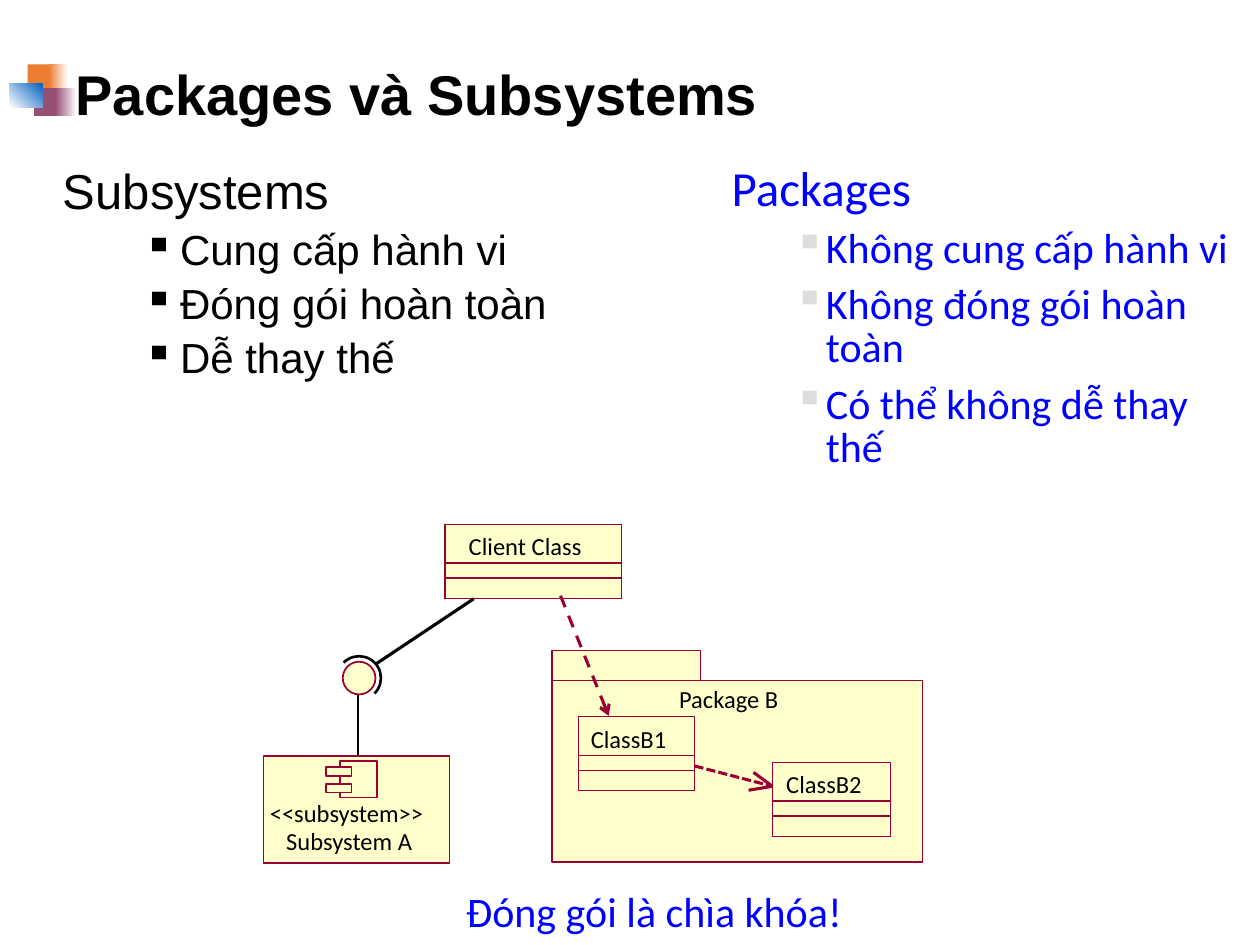
"""Build the slide that compares packages with subsystems."""
import pptx
import pptx.dml.color
import pptx.enum.dml
import pptx.enum.shapes
import pptx.enum.text
import pptx.oxml
import pptx.oxml.ns
import pptx.util
from pptx.util import Cm

SHAPE = pptx.enum.shapes.MSO_SHAPE
DASH = pptx.enum.dml.MSO_LINE
ALIGN = pptx.enum.text.PP_ALIGN
ANCHOR = pptx.enum.text.MSO_ANCHOR
AUTO_SIZE = pptx.enum.text.MSO_AUTO_SIZE
BLACK, BLUE, GRAY, WHITE = "000000", "0000FF", "DDDDDD", "FFFFFF"
CREAM, MAROON = "FFFFCC", "990033"
ORANGE, PLUM, AZURE = "ED7D31", "954F72", "0563C1"


def rgb(value):
    """Turn a hex string into a colour."""
    return pptx.dml.color.RGBColor.from_string(value)


def add_outline(slide, kind, box, fill=None, line=None, width=0):
    """Add a preset shape with an optional fill and outline."""
    shape = slide.shapes.add_shape(kind, *map(Cm, box))
    shape.shadow.inherit = False
    if fill:
        shape.fill.solid()
        shape.fill.fore_color.rgb = rgb(fill)
    else:
        shape.fill.background()
    if line:
        shape.line.color.rgb = rgb(line)
        shape.line.width = pptx.util.Pt(width)
    else:
        shape.line.fill.background()
    return shape


def add_box(slide, box, fill=CREAM, line=MAROON, width=0):
    """Add a rectangle in the diagram's colours."""
    return add_outline(slide, SHAPE.RECTANGLE, box, fill, line, width)


def add_gradient(slide, box, start, end, angle=0):
    """Add a rectangle that fades between two colours."""
    shape = add_box(slide, box, line=None)
    shape.fill.gradient()
    shape.fill.gradient_angle = angle
    for stop, value in zip(shape.fill.gradient_stops, (start, end)):
        stop.color.rgb = rgb(value)


def add_line(slide, start, end, color, width, dash=None, arrow=False):
    """Add a straight connector, dashed or arrowed if asked."""
    line = slide.shapes.add_connector(
        pptx.enum.shapes.MSO_CONNECTOR.STRAIGHT, *map(Cm, start + end))
    line.line.color.rgb = rgb(color)
    line.line.width = pptx.util.Pt(width)
    if dash:
        line.line.dash_style = dash
    if arrow:
        tail = pptx.oxml.parse_xml(
            f'<a:tailEnd {pptx.oxml.ns.nsdecls("a")} type="arrow"/>')
        line.line._get_or_add_ln().append(tail)
    line._element.spPr.append(
        pptx.oxml.parse_xml(f'<a:effectLst {pptx.oxml.ns.nsdecls("a")}/>'))


def add_arc(slide, box, start, end):
    """Add an open arc between two clockwise angles in degrees."""
    arc = add_outline(slide, SHAPE.ARC, box, None, BLACK, 1.5)
    for index, angle in enumerate((start, end)):
        arc.adjustments[index] = angle * 0.6


def format_paragraph(paragraph, size, font, color, bold=False):
    """Set the font of all runs in a paragraph."""
    for run in paragraph.runs:
        run.font.size = pptx.util.Pt(size)
        run.font.name = font
        run.font.bold = bold
        run.font.color.rgb = rgb(color)


def set_margins(frame, horizontal, vertical):
    """Set the inner margins of a text frame."""
    frame.margin_left = frame.margin_right = Cm(horizontal)
    frame.margin_top = frame.margin_bottom = Cm(vertical)


def add_label(slide, left, top, width, text):
    """Add a small diagram label without margins."""
    frame = slide.shapes.add_textbox(*map(Cm, (left, top, width, 0.58))).text_frame
    set_margins(frame, 0, 0)
    frame.word_wrap = False
    frame.text = text
    format_paragraph(frame.paragraphs[0], 14, "Calibri", BLACK)


def set_indent(paragraph, left, hanging, bullet_color=None):
    """Set a hanging indent and, if a colour is given, a square bullet."""
    properties = paragraph._p.get_or_add_pPr()
    properties.set("marL", str(Cm(left)))
    properties.set("indent", str(-Cm(hanging)))
    if bullet_color:
        names = pptx.oxml.ns.nsdecls("a")
        for xml in (
            f'<a:buClr {names}><a:srgbClr val="{bullet_color}"/></a:buClr>',
            f'<a:buChar {names} char="▪"/>',
        ):
            properties.append(pptx.oxml.parse_xml(xml))


def add_list(slide, left, lines, font, color, bullet_color,
             margins, indents, spacings, gaps):
    """Add a heading followed by bulleted points."""
    frame = slide.shapes.add_textbox(*map(Cm, (left, 3.25, 10.67, 9.98))).text_frame
    frame.word_wrap = True
    set_margins(frame, *margins)
    frame.text = "\n".join(lines)
    for index, paragraph in enumerate(frame.paragraphs):
        level = min(index, 1)
        paragraph.line_spacing = spacings[level]
        paragraph.space_before = pptx.util.Pt(gaps[level])
        set_indent(paragraph, *indents[level], bullet_color if level else None)
        format_paragraph(paragraph, (28, 24)[level], font, color)


def add_class(slide, left, top, width, name, label_left, label_width):
    """Add a class symbol with name, attribute and operation parts."""
    height = 1.49
    add_box(slide, (left, top, width, height))
    add_label(slide, label_left, top + 0.14, label_width, name)
    for offset in (0.78, 1.08):
        add_box(slide, (left, top + offset, width, height - offset), None)


def add_ornament(slide):
    """Add the overlapping coloured blocks beside the title."""
    add_box(slide, (0.56, 1.3, 0.51, 0.56), ORANGE, None)
    add_gradient(slide, (0.99, 1.3, 0.38, 0.56), ORANGE, WHITE)
    add_box(slide, (0.69, 1.78, 0.48, 0.56), PLUM, None)
    add_gradient(slide, (1.12, 1.78, 0.43, 0.56), PLUM, WHITE)
    add_gradient(slide, (0.2, 1.68, 0.66, 0.48), WHITE, AZURE, 45)


def format_title(slide):
    """Place and format the title."""
    title = slide.shapes.title
    title.left, title.top, title.width, title.height = map(
        Cm, (1.27, 1.02, 22.86, 1.9))
    frame = title.text_frame
    frame.text = "Packages và Subsystems"
    frame.auto_size = AUTO_SIZE.NONE
    frame.vertical_anchor = ANCHOR.MIDDLE
    frame.paragraphs[0].alignment = ALIGN.LEFT
    frame.paragraphs[0].line_spacing = 0.9
    format_paragraph(frame.paragraphs[0], 32, "Arial", BLACK, True)


def add_conclusion(slide):
    """Add the closing statement below the diagram."""
    frame = slide.shapes.add_textbox(*map(Cm, (9.02, 17.73, 8.33, 1.27))).text_frame
    frame.word_wrap = False
    frame.vertical_anchor = ANCHOR.MIDDLE
    frame.text = "Đóng gói là chìa khóa!"
    frame.paragraphs[0].alignment = ALIGN.CENTER
    format_paragraph(frame.paragraphs[0], 24, "Calibri", BLUE)


def add_subsystem(slide):
    """Add the subsystem with its component icon and interface."""
    add_line(slide, (7.21, 15.39), (7.21, 14), BLACK, 1.25)
    add_box(slide, (5.31, 15.24, 3.76, 2.16))
    add_label(slide, 5.77, 16.66, 2.9, "Subsystem A")
    add_label(slide, 5.44, 16.08, 3.51, "<<subsystem>>")
    add_box(slide, (6.86, 15.34, 0.74, 0.74), width=1)
    for top in (15.8, 15.47):
        add_box(slide, (6.58, top, 0.51, 0.18), width=1)
    add_outline(slide, SHAPE.OVAL, (6.91, 13.34, 0.66, 0.66), CREAM, MAROON, 1)
    for start, end in ((315, 45), (225, 315)):
        add_arc(slide, (6.8, 13.23, 0.88, 0.88), start, end)


def add_package(slide):
    """Add the package with its two classes."""
    add_box(slide, (11.13, 13.72, 7.47, 3.66))
    add_box(slide, (11.13, 13.11, 3, 0.61))
    add_label(slide, 13.69, 13.79, 2.39, "Package B")
    add_class(slide, 11.66, 14.45, 2.34, "ClassB1", 11.91, 1.83)
    add_class(slide, 15.57, 15.37, 2.39, "ClassB2", 15.85, 1.83)
    tip = (15.57, 15.85)
    add_line(slide, (14, 15.44), tip, MAROON, 1.75, DASH.SQUARE_DOT)
    for end in ((15.19, 15.57), (15.09, 15.93)):
        add_line(slide, tip, end, MAROON, 1.75)


def main():
    """Build and save the presentation."""
    presentation = pptx.Presentation()
    presentation.slide_width, presentation.slide_height = Cm(25.4), Cm(19.05)
    slide = presentation.slides.add_slide(presentation.slide_layouts[5])
    add_ornament(slide)
    format_title(slide)
    add_list(slide, 1.02,
             ("Subsystems", "Cung cấp hành vi", "Đóng gói hoàn toàn", "Dễ thay thế"),
             "Arial", BLACK, BLACK, (0.25, 0.13),
             ((1.12, 1.12), (2.36, 0.74)), (0.9, 0.9), (10, 5))
    add_list(slide, 14.45,
             ("Packages", "Không cung cấp hành vi", "Không đóng gói hoàn toàn",
              "Có thể không dễ thay thế"),
             "Calibri", BLUE, GRAY, (0.3, 0.15),
             ((0.94, 0.94), (1.9, 0.64)), (0.8, 0.87), (8, 7))
    add_subsystem(slide)
    add_package(slide)
    add_class(slide, 8.97, 10.57, 3.56, "Client Class", 9.45, 2.64)
    add_line(slide, (9.55, 12.07), (7.57, 13.39), BLACK, 1.75)
    add_line(slide, (11.3, 12.01), (12.27, 14.43), MAROON, 1.75, DASH.DASH, True)
    add_conclusion(slide)
    presentation.save("out.pptx")


if __name__ == "__main__":
    main()
